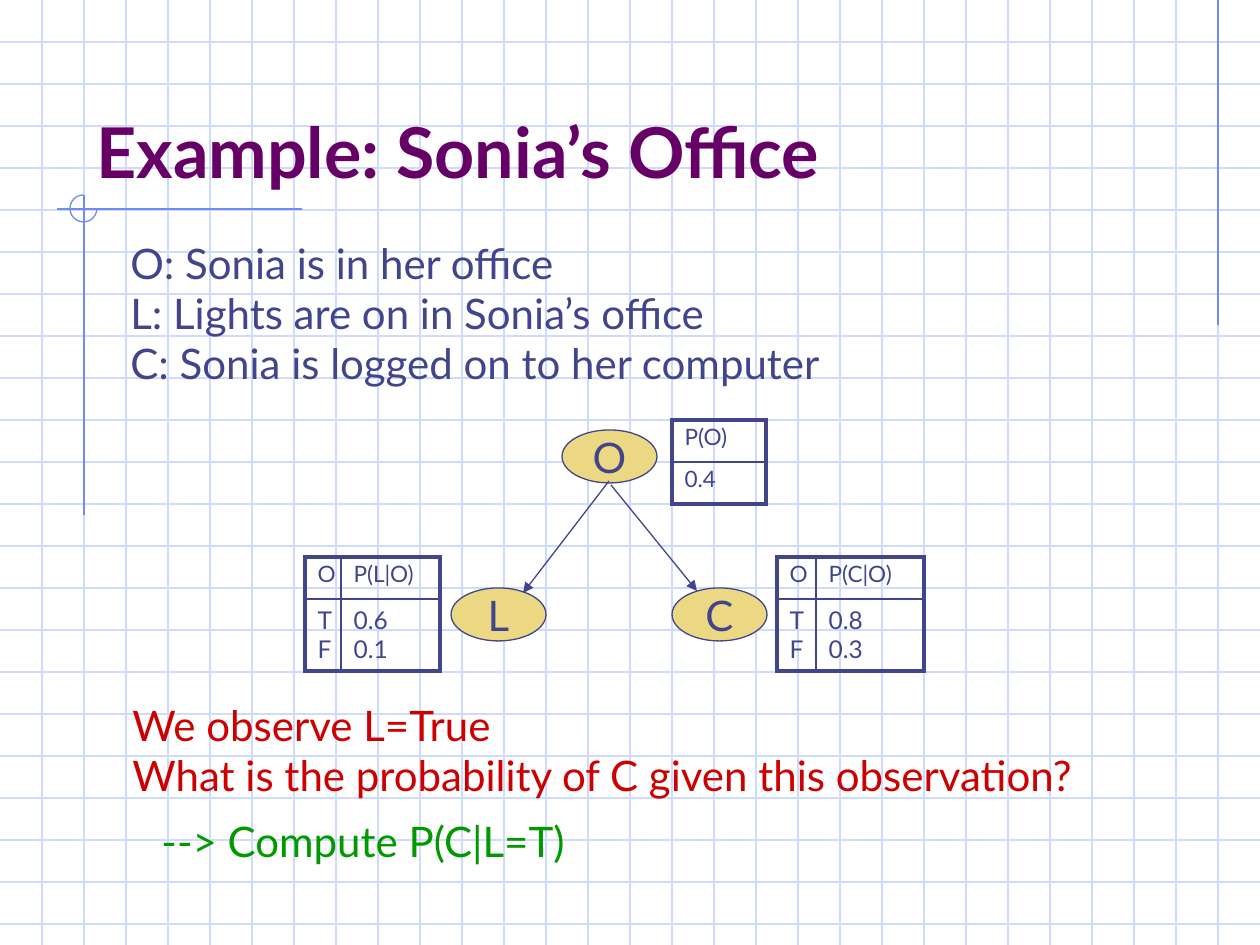
from lxml import etree
from pptx import Presentation
from pptx import util as u
from pptx.dml.color import RGBColor
from pptx.enum import shapes, text
from pptx.oxml.ns import qn

FONT = "Lato"
PURPLE = RGBColor(0x66, 0x00, 0x66)
NAVY = RGBColor(0x40, 0x45, 0x8C)
RED = RGBColor(0xCC, 0x00, 0x00)
GREEN = RGBColor(0x00, 0x99, 0x00)
GOLD = RGBColor(0xEC, 0xD8, 0x82)
GRID = RGBColor(0xCF, 0xDB, 0xFD)
BLUE = RGBColor(0x6F, 0x89, 0xF7)

# Content; all lengths in px, 126 px to the inch
WIDTH, HEIGHT, GRID_STEP = 1260, 945, 42
TITLE = ("Example: Sonia’s Office", (84, 42, 1071, 157))
TEXTS = [
    (["O: Sonia is in her office", "L: Lights are on in Sonia’s office",
      "C: Sonia is logged on to her computer"], (118, 231, 779, 164), NAVY),
    (["We observe L=True",
      "What is the probability of C given this observation?"],
     (120, 693, 1023, 113), RED),
    (["--> Compute P(C|L=T)"], (149, 809, 450, 63), GREEN),
]
ORNAMENT_LINES = [(1218, 0, 1218, 325), (302, 209, 57, 209), (84, 195, 84, 515)]
ORNAMENT_ARC = (70, 195, 27, 27)
NODE_SIZE = (95, 53)
NODES = [("O", 562, 430), ("C", 672, 588), ("L", 451, 588)]
ARROWS = [(609, 481, 523, 593), (611, 485, 697, 591)]
# Probability tables: left, top, column widths, row heights, rows
TABLES = [
    (672, 420, [94], [42, 42], [["P(O)"], ["0.4"]]),
    (777, 557, [39, 108], [42, 72], [["O", "P(C|O)"], ["T\vF", "0.8\v0.3"]]),
    (305, 557, [36, 99], [42, 72], [["O", "P(L|O)"], ["T\vF", "0.6\v0.1"]]),
]


def px(n):
    return u.Emu(round(n * 914400 / 126))


def box(*lengths):
    return [px(n) for n in lengths]


def add_line(slide, ends, color, arrow=False):
    line = slide.shapes.add_connector(shapes.MSO_CONNECTOR.STRAIGHT, *box(*ends))
    line.line.color.rgb = color
    line.line.width = u.Pt(0.75)
    if arrow:
        etree.SubElement(line.line._get_or_add_ln(), qn("a:tailEnd"), type="triangle")
    etree.SubElement(line._element.spPr, qn("a:effectLst"))


def style(paragraph, size, color, bold=False):
    font = paragraph.font
    font.name, font.size, font.bold = FONT, u.Pt(size), bold
    font.color.rgb = color


def add_text(slide, lines, place, size, color, bold=False,
             anchor=text.MSO_ANCHOR.TOP):
    frame = slide.shapes.add_textbox(*box(*place)).text_frame
    frame.word_wrap = True
    frame.vertical_anchor = anchor
    frame.text = "\n".join(lines)
    for paragraph in frame.paragraphs:
        style(paragraph, size, color, bold)


def add_node(slide, label, left, top):
    node = slide.shapes.add_shape(shapes.MSO_SHAPE.OVAL, *box(left, top, *NODE_SIZE))
    node.shadow.inherit = False
    node.fill.solid()
    node.fill.fore_color.rgb = GOLD
    node.line.color.rgb = NAVY
    node.line.width = u.Pt(0.75)
    frame = node.text_frame
    frame.word_wrap = False
    frame.vertical_anchor = text.MSO_ANCHOR.MIDDLE
    frame.text = label
    frame.paragraphs[0].alignment = text.PP_ALIGN.CENTER
    style(frame.paragraphs[0], 24, NAVY)


def add_border(cell, side, points):
    border = etree.SubElement(cell._tc.get_or_add_tcPr(), qn("a:ln" + side),
                              w=str(u.Pt(points)))
    fill = etree.SubElement(border, qn("a:solidFill"))
    etree.SubElement(fill, qn("a:srgbClr"), val=str(NAVY))


def add_probabilities(slide, left, top, widths, heights, rows):
    table = slide.shapes.add_table(
        len(rows), len(widths),
        *box(left, top, sum(widths), sum(heights))).table
    table.first_row = table.horz_banding = False
    for column, width in zip(table.columns, widths):
        column.width = px(width)
    for row, height in zip(table.rows, heights):
        row.height = px(height)
    for r, row in enumerate(rows):
        for c, label in enumerate(row):
            cell = table.cell(r, c)
            outer = {"L": c == 0, "R": c == len(row) - 1,
                     "T": r == 0, "B": r == len(rows) - 1}
            for side, is_outer in outer.items():
                add_border(cell, side, 2.25 if is_outer else 1)
            cell.fill.background()
            cell.margin_left, cell.margin_right = u.Inches(0.1), 0
            cell.text = label
            paragraph = cell.text_frame.paragraphs[0]
            two_lines = "\v" in label
            paragraph.line_spacing = 1.0 if two_lines else 0.9
            style(paragraph, 14 if two_lines else 12.9, NAVY)


def main():
    deck = Presentation()
    deck.slide_width, deck.slide_height = px(WIDTH), px(HEIGHT)
    slide = deck.slides.add_slide(deck.slide_layouts[6])

    # Graph-paper background
    for y in range(GRID_STEP, HEIGHT, GRID_STEP):
        add_line(slide, (0, y, WIDTH, y), GRID)
    for x in range(GRID_STEP, WIDTH, GRID_STEP):
        add_line(slide, (x, 0, x, HEIGHT), GRID)

    # Ornament beside the title
    for ends in ORNAMENT_LINES:
        add_line(slide, ends, BLUE)
    arc = slide.shapes.add_shape(shapes.MSO_SHAPE.ARC, *box(*ORNAMENT_ARC))
    arc.shadow.inherit = False
    arc.adjustments[0], arc.adjustments[1] = 0, 162  # right, clockwise to top
    arc.fill.background()
    arc.line.color.rgb = BLUE
    arc.line.width = u.Pt(0.75)

    # Title and statements
    title, place = TITLE
    add_text(slide, [title], place, 40, PURPLE, True, text.MSO_ANCHOR.BOTTOM)
    for lines, place, color in TEXTS:
        add_text(slide, lines, place, 24, color)

    # Bayesian network with its probability tables
    for node in NODES:
        add_node(slide, *node)
    for ends in ARROWS:
        add_line(slide, ends, NAVY, arrow=True)
    for table in TABLES:
        add_probabilities(slide, *table)

    deck.save("out.pptx")


if __name__ == "__main__":
    main()
